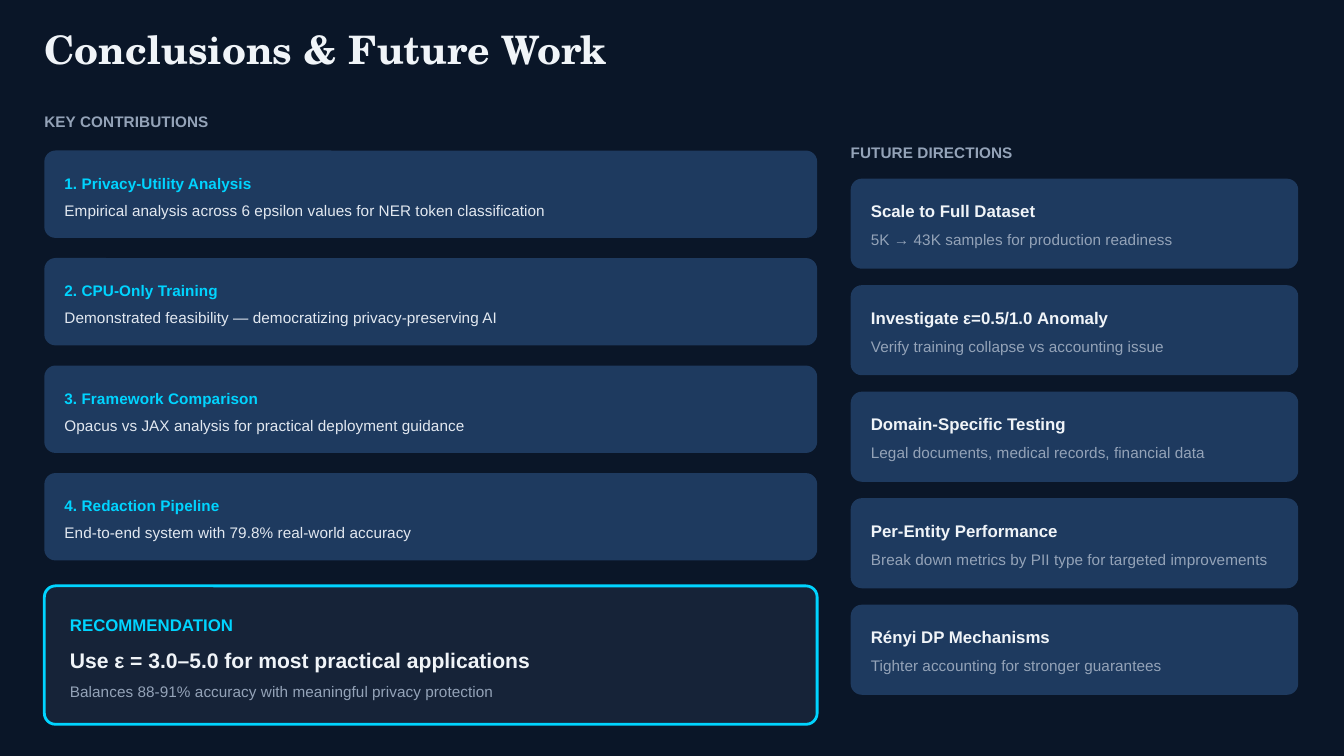
import pptx
import pptx.dml.color
import pptx.enum.shapes
import pptx.enum.text
import pptx.util
from pptx.dml.color import RGBColor
from pptx.util import Inches

BACKGROUND = RGBColor(0x0A, 0x16, 0x28)
CARD = RGBColor(0x1E, 0x3A, 0x5F)
CALLOUT = RGBColor(0x16, 0x23, 0x38)
CYAN = RGBColor(0x00, 0xD4, 0xFF)
WHITE = RGBColor(0xF0, 0xF4, 0xF8)
LIGHT = RGBColor(0xE2, 0xE8, 0xF0)
MUTED = RGBColor(0x94, 0xA3, 0xB8)

SMALL, MEDIUM, LARGE, TITLE = 8.25, 9, 11.25, 21
LINE_SPACING = {SMALL: 11.55, MEDIUM: 12.6, LARGE: 15.75, TITLE: 21}
CORNER_RADIUS = 0.083

CONTRIBUTIONS = [
    ("1. Privacy-Utility Analysis",
     "Empirical analysis across 6 epsilon values for NER token classification"),
    ("2. CPU-Only Training",
     "Demonstrated feasibility — democratizing privacy-preserving AI"),
    ("3. Framework Comparison",
     "Opacus vs JAX analysis for practical deployment guidance"),
    ("4. Redaction Pipeline",
     "End-to-end system with 79.8% real-world accuracy"),
]
DIRECTIONS = [
    ("Scale to Full Dataset", "5K → 43K samples for production readiness"),
    ("Investigate ε=0.5/1.0 Anomaly", "Verify training collapse vs accounting issue"),
    ("Domain-Specific Testing", "Legal documents, medical records, financial data"),
    ("Per-Entity Performance", "Break down metrics by PII type for targeted improvements"),
    ("Rényi DP Mechanisms", "Tighter accounting for stronger guarantees"),
]


def write_text(shape, text, size, color, bold=False, font="Arial"):
    frame = shape.text_frame
    frame.margin_left = frame.margin_top = frame.margin_right = frame.margin_bottom = 0
    frame.word_wrap = True
    frame.auto_size = pptx.enum.text.MSO_AUTO_SIZE.NONE
    frame.vertical_anchor = pptx.enum.text.MSO_ANCHOR.TOP
    paragraph = frame.paragraphs[0]
    paragraph.alignment = pptx.enum.text.PP_ALIGN.LEFT
    paragraph.line_spacing = pptx.util.Pt(LINE_SPACING[size])
    paragraph.space_before = pptx.util.Pt(0)
    run = paragraph.add_run()
    run.text = text
    run.font.name = font
    run.font.size = pptx.util.Pt(size)
    run.font.bold = bold
    run.font.color.rgb = color


def add_text(slide, left, top, width, text, size, color, bold=False):
    height = LINE_SPACING[size] / 72
    box = slide.shapes.add_textbox(Inches(left), Inches(top), Inches(width), Inches(height))
    write_text(box, text, size, color, bold)


def add_panel(slide, left, top, width, height, fill, line=None):
    panel = slide.shapes.add_shape(
        pptx.enum.shapes.MSO_SHAPE.ROUNDED_RECTANGLE,
        Inches(left), Inches(top), Inches(width), Inches(height))
    panel.adjustments[0] = CORNER_RADIUS / height
    panel.shadow.inherit = False
    panel.fill.solid()
    panel.fill.fore_color.rgb = fill
    if line is None:
        panel.line.fill.background()
    else:
        panel.line.color.rgb = line
        panel.line.width = pptx.util.Pt(1.5)


def add_title(slide, left, top, width, height):
    title = slide.shapes.title
    title.left, title.top = Inches(left), Inches(top)
    title.width, title.height = Inches(width), Inches(height)
    write_text(title, "Conclusions & Future Work", TITLE, WHITE, True, "TeX Gyre Schola")


def add_contributions(slide, left, top, width):
    add_text(slide, left, top, width, "KEY CONTRIBUTIONS", SMALL, MUTED, True)
    for index, (heading, detail) in enumerate(CONTRIBUTIONS):
        card_top = top + 0.31 + index * 0.8
        add_panel(slide, left, card_top, width, 0.65, CARD)
        add_text(slide, left + 0.15, card_top + 0.15, width - 0.18, heading, SMALL, CYAN, True)
        add_text(slide, left + 0.15, card_top + 0.35, width - 0.18, detail, SMALL, LIGHT)


def add_recommendation(slide, left, top, width, height):
    add_panel(slide, left, top, width, height, CALLOUT, CYAN)
    text_left, text_width = left + 0.19, width - 0.27
    add_text(slide, text_left, top + 0.19, text_width, "RECOMMENDATION", MEDIUM, CYAN, True)
    add_text(slide, text_left, top + 0.43, text_width,
             "Use ε = 3.0–5.0 for most practical applications", LARGE, WHITE, True)
    add_text(slide, text_left, top + 0.69, text_width,
             "Balances 88-91% accuracy with meaningful privacy protection", SMALL, MUTED)


def add_directions(slide, left, top, width, height):
    add_text(slide, left, top, width, "FUTURE DIRECTIONS", SMALL, MUTED, True)
    card_height = 0.67
    first_top = top + 0.29
    pitch = (top + height - card_height - first_top) / (len(DIRECTIONS) - 1)
    for index, (heading, detail) in enumerate(DIRECTIONS):
        card_top = first_top + index * pitch
        add_panel(slide, left, card_top, width, card_height, CARD)
        add_text(slide, left + 0.15, card_top + 0.14, width - 0.23, heading, MEDIUM, WHITE, True)
        add_text(slide, left + 0.15, card_top + 0.36, width - 0.23, detail, SMALL, MUTED)


def main():
    presentation = pptx.Presentation()
    presentation.slide_width = Inches(10)
    presentation.slide_height = Inches(10 * 9 / 16)
    slide = presentation.slides.add_slide(presentation.slide_layouts.get_by_name("Title Only"))
    slide.background.fill.solid()
    slide.background.fill.fore_color.rgb = BACKGROUND
    add_title(slide, 0.33, 0.25, 4.77, 0.29)
    add_contributions(slide, 0.33, 0.81, 5.75)
    add_recommendation(slide, 0.33, 4.36, 5.75, 1.03)
    add_directions(slide, 6.33, 1.04, 3.33, 4.13)
    presentation.save("out.pptx")


if __name__ == "__main__":
    main()
